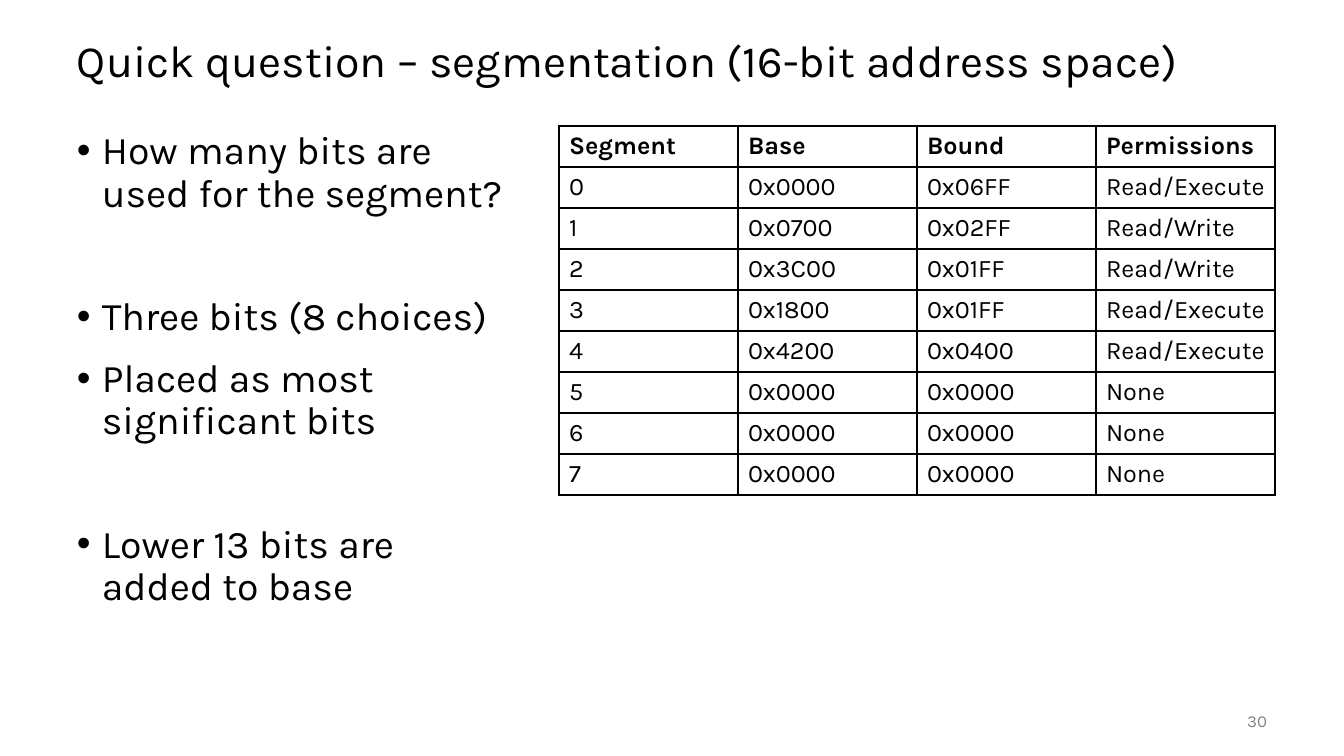
from lxml.etree import SubElement
from pptx import Presentation
from pptx.dml.color import RGBColor
from pptx.enum.text import MSO_ANCHOR, PP_ALIGN
from pptx.oxml.ns import qn
from pptx.util import Pt

# Content
TITLE = "Quick question – segmentation (16-bit address space)"
GROUPS = [
    ["How many bits are used for the segment?"],
    ["Three bits (8 choices)", "Placed as most significant bits"],
    ["Lower 13 bits are added to base"],
]
ROWS = [
    ("Segment", "Base", "Bound", "Permissions"),
    ("0", "0x0000", "0x06FF", "Read/Execute"),
    ("1", "0x0700", "0x02FF", "Read/Write"),
    ("2", "0x3C00", "0x01FF", "Read/Write"),
    ("3", "0x1800", "0x01FF", "Read/Execute"),
    ("4", "0x4200", "0x0400", "Read/Execute"),
    ("5", "0x0000", "0x0000", "None"),
    ("6", "0x0000", "0x0000", "None"),
    ("7", "0x0000", "0x0000", "None"),
]
PAGE = "30"

THEME = {
    "font": "Karla",
    "ink": "000000", "grey": "808080", "paper": "FFFFFF",
    "title": 32, "body": 28, "cell": 18, "page": 12,
    "gap": 14, "break": 58, "tight": 0.9, "rule": 1,
}

# Layout in px
SCALE = 914400 / 100.8
WIDE, HIGH = 1344, 756
LEFT, TOP = 67, 126
TABLE_X, COL, ROW = 559, 179, 41
INDENT = 25


def px(n):
    return round(n * SCALE)


def write(frame, text, size, color="ink", bold=False, align=PP_ALIGN.LEFT,
          line=None, before=0, bullet=False):
    """Fill the first paragraph, or add one after it."""
    para = frame.paragraphs[0]
    if para.runs:
        para = frame.add_paragraph()
    if bullet:
        props = para._p.get_or_add_pPr()
        props.set("marL", str(px(INDENT)))
        props.set("indent", str(-px(INDENT)))
        SubElement(props, qn("a:buFont"), typeface="Arial")
        SubElement(props, qn("a:buChar"), char="•")
    para.alignment = align
    para.space_before = Pt(before)
    if line:
        para.line_spacing = line
    run = para.add_run()
    run.text = text
    font = run.font
    font.name, font.size, font.bold = THEME["font"], Pt(THEME[size]), bold
    font.color.rgb = RGBColor.from_string(THEME[color])


def add_box(slide, x, y, w, h, anchor=MSO_ANCHOR.MIDDLE):
    frame = slide.shapes.add_textbox(px(x), px(y), px(w), px(h)).text_frame
    frame.word_wrap = True
    frame.vertical_anchor = anchor
    return frame


def rule_cell(cell):
    props = cell._tc.get_or_add_tcPr()
    for side in ("lnL", "lnR", "lnT", "lnB"):
        edge = SubElement(props, qn("a:" + side), w=str(Pt(THEME["rule"])))
        fill = SubElement(edge, qn("a:solidFill"))
        SubElement(fill, qn("a:srgbClr"), val=THEME["ink"])
    cell.fill.solid()
    cell.fill.fore_color.rgb = RGBColor.from_string(THEME["paper"])


def add_grid(slide):
    cols = len(ROWS[0])
    grid = slide.shapes.add_table(len(ROWS), cols, px(TABLE_X), px(TOP),
                                  px(COL * cols), px(ROW * len(ROWS))).table
    grid.horz_banding = False
    for col in grid.columns:
        col.width = px(COL)
    for r, row in enumerate(ROWS):
        grid.rows[r].height = px(ROW)
        for c, text in enumerate(row):
            cell = grid.cell(r, c)
            cell.margin_right = px(8)
            rule_cell(cell)
            write(cell.text_frame, text, "cell", bold=r == 0)


def main():
    deck = Presentation()
    deck.slide_width, deck.slide_height = px(WIDE), px(HIGH)
    slide = deck.slides.add_slide(deck.slide_layouts[6])

    # Title
    write(add_box(slide, LEFT, 25, 1210, 76), TITLE, "title",
          line=THEME["tight"])

    # Bullets, with a wide break between groups
    body = add_box(slide, LEFT, TOP, 451, 554, MSO_ANCHOR.TOP)
    for g, group in enumerate(GROUPS):
        for i, text in enumerate(group):
            lead = THEME["gap"] if i else THEME["break"] if g else 0
            write(body, text, "body", line=THEME["tight"], before=lead,
                  bullet=True)

    # Segment table
    add_grid(slide)

    # Page number
    write(add_box(slide, 1176, 701, 101, 40), PAGE, "page", color="grey",
          align=PP_ALIGN.RIGHT)

    deck.save("out.pptx")


if __name__ == "__main__":
    main()
